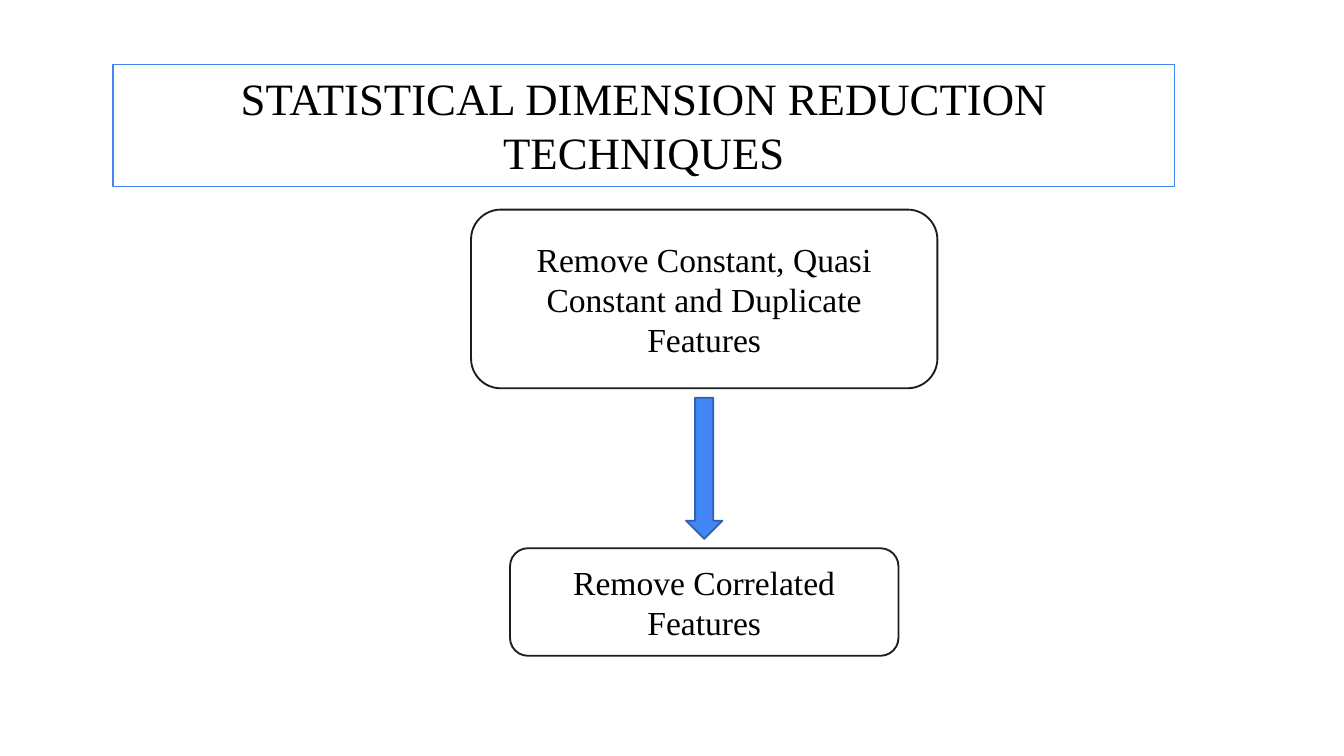
from pptx import Presentation
from pptx.dml.color import RGBColor
from pptx.enum.shapes import MSO_SHAPE
from pptx.enum.text import MSO_ANCHOR, PP_ALIGN
from pptx.util import Inches, Pt

RECTANGLE = MSO_SHAPE.RECTANGLE
ROUNDED = MSO_SHAPE.ROUNDED_RECTANGLE
DOWN_ARROW = MSO_SHAPE.DOWN_ARROW
TOP, MIDDLE = MSO_ANCHOR.TOP, MSO_ANCHOR.MIDDLE
CENTER = PP_ALIGN.CENTER
FONT = "Times New Roman"
SLIDE_WIDTH = 10
FLOW_CENTER = 5.24


def color(hex_code):
    """Return the colour for a hex string."""
    return RGBColor.from_string(hex_code)


def add_outlined(slide, kind, box, line, width=1, fill=None):
    """Add a shape with an outline and an optional fill."""
    shape = slide.shapes.add_shape(kind, *(Inches(length) for length in box))
    shape.shadow.inherit = False
    if fill:
        shape.fill.solid()
        shape.fill.fore_color.rgb = color(fill)
    else:
        shape.fill.background()
    shape.line.color.rgb = color(line)
    shape.line.width = Pt(width)
    return shape


def write_centered(shape, text, size, anchor):
    """Write one centred paragraph in a shape."""
    frame = shape.text_frame
    frame.word_wrap = True
    frame.vertical_anchor = anchor
    paragraph = frame.paragraphs[0]
    paragraph.alignment = CENTER
    run = paragraph.add_run()
    run.text = text
    run.font.name = FONT
    run.font.size = Pt(size)
    run.font.color.rgb = color("000000")


def add_step(slide, text, top, width, height):
    """Add a rounded step centred on the flow axis."""
    box = (FLOW_CENTER - width / 2, top, width, height)
    step = add_outlined(slide, ROUNDED, box, "1D1D1D", fill="FFFFFF")
    write_centered(step, text, 18, MIDDLE)


def add_flow_arrow(slide, top, width, height):
    """Add a block arrow pointing down the flow axis."""
    box = (FLOW_CENTER - width / 2, top, width, height)
    add_outlined(slide, DOWN_ARROW, box, "3061B2", fill="4285F4")


def add_title(slide, text):
    """Add the framed title."""
    title = add_outlined(slide, RECTANGLE, (0.84, 0.48, 7.9, 0.91), "4285F4", 0.75)
    write_centered(title, text, 24, TOP)


def main():
    """Build and save the slide."""
    deck = Presentation()
    deck.slide_width = Inches(SLIDE_WIDTH)
    deck.slide_height = Inches(SLIDE_WIDTH * 9 / 16)
    slide = deck.slides.add_slide(deck.slide_layouts[6])
    add_step(slide, "Remove Constant, Quasi Constant and Duplicate Features", 1.56, 3.47, 1.33)
    add_step(slide, "Remove Correlated Features", 4.08, 2.89, 0.8)
    add_flow_arrow(slide, 2.96, 0.27, 1.05)
    add_title(slide, "STATISTICAL DIMENSION REDUCTION TECHNIQUES")
    deck.save("out.pptx")


if __name__ == "__main__":
    main()
